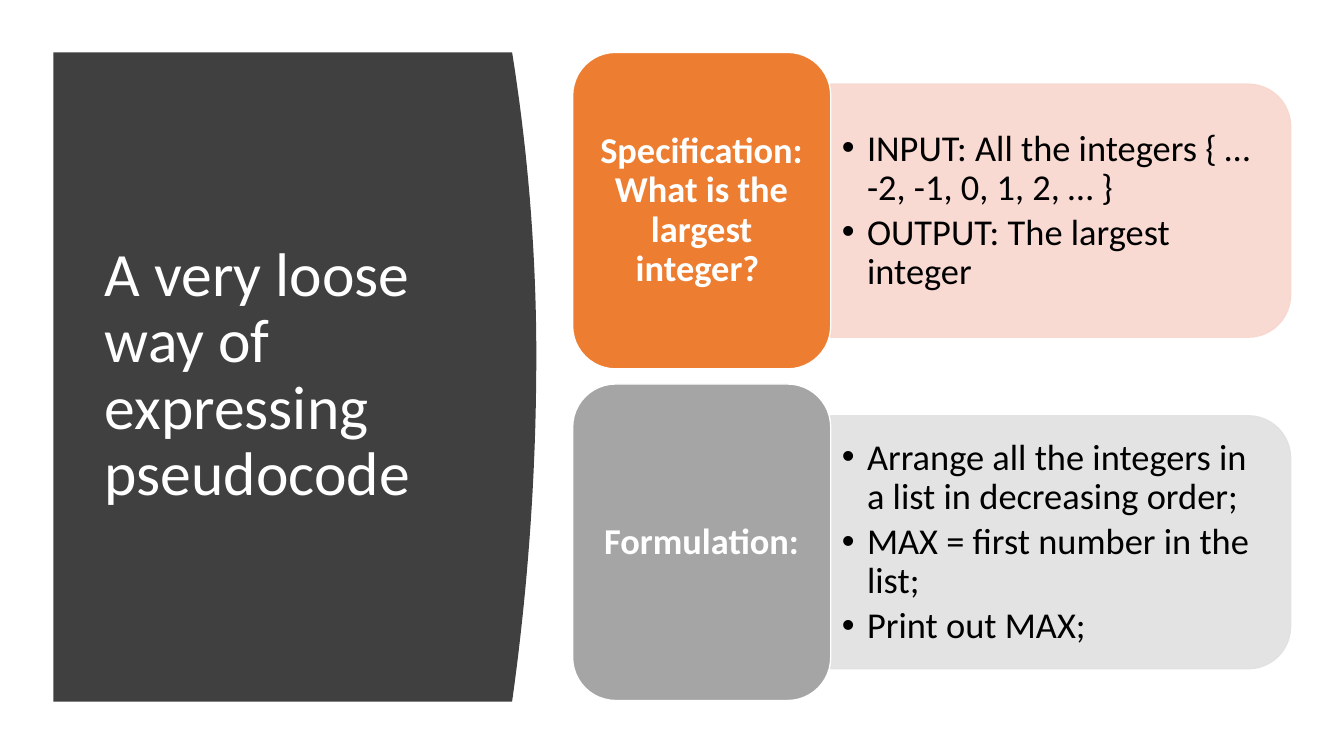
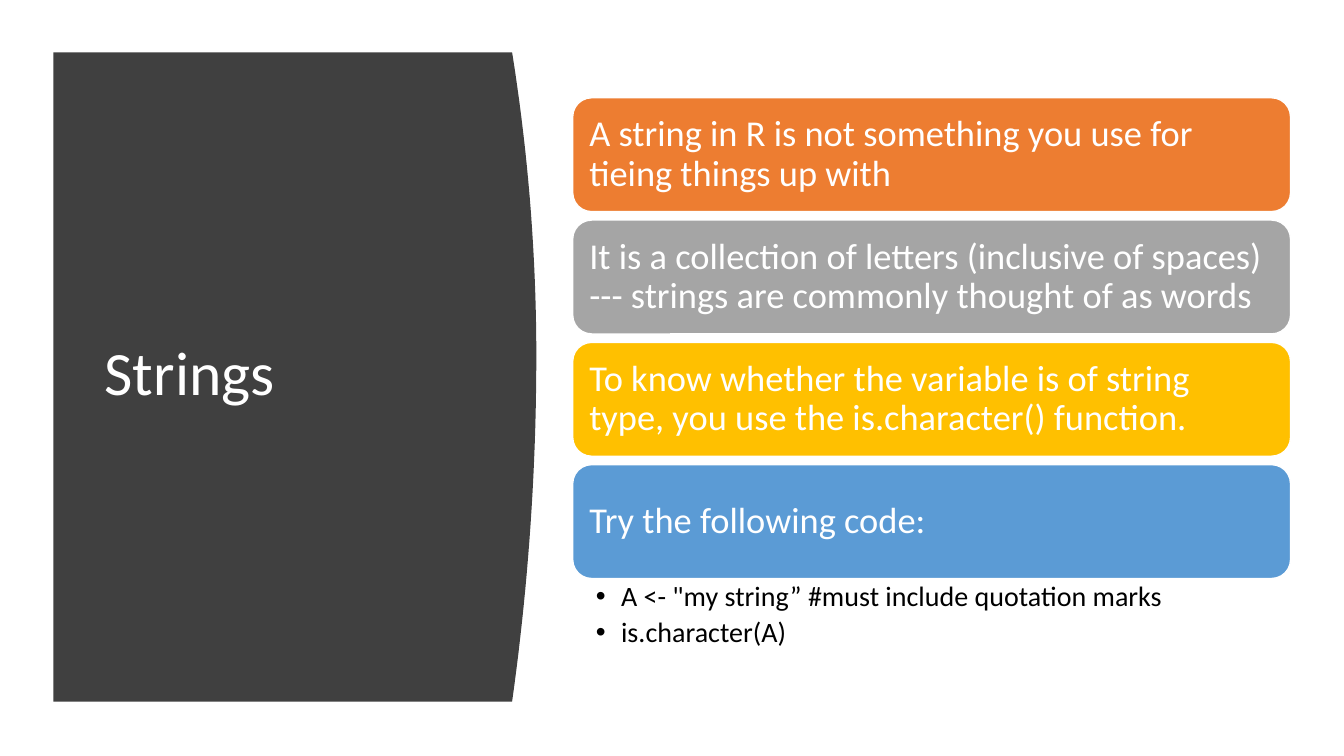
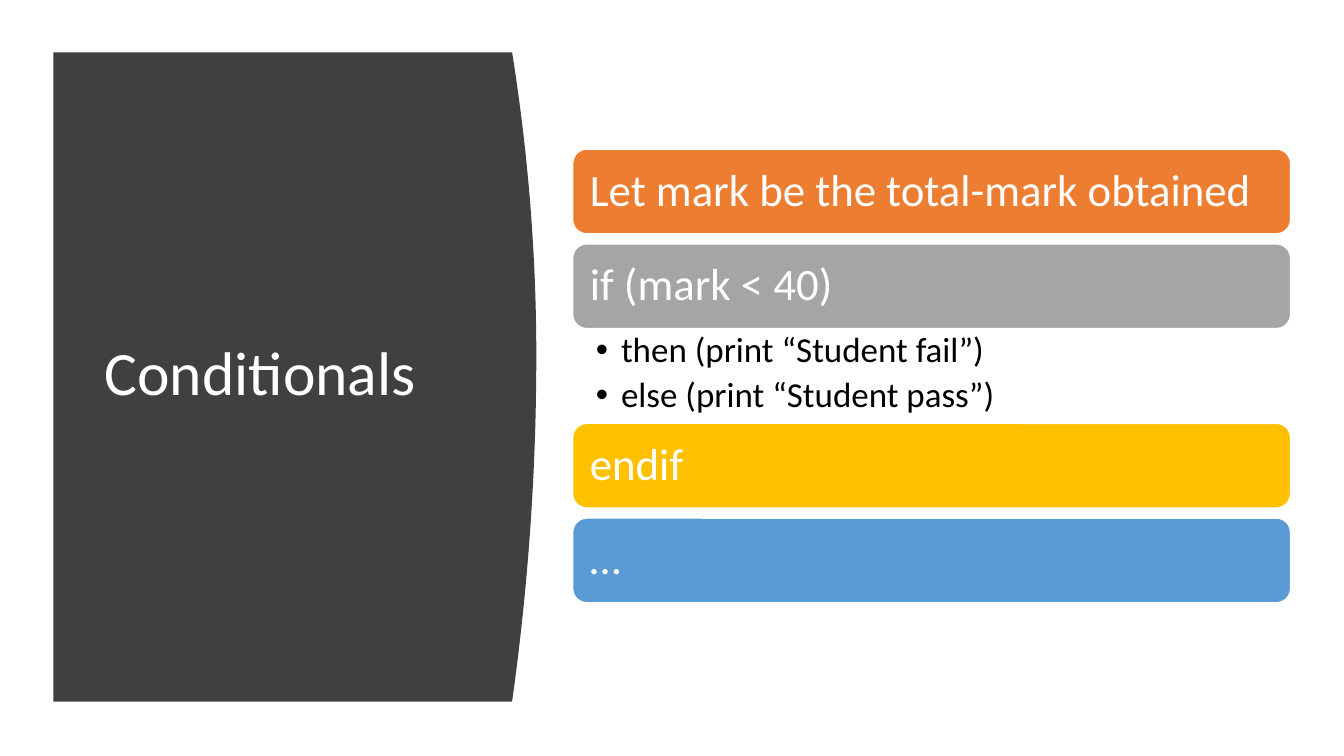
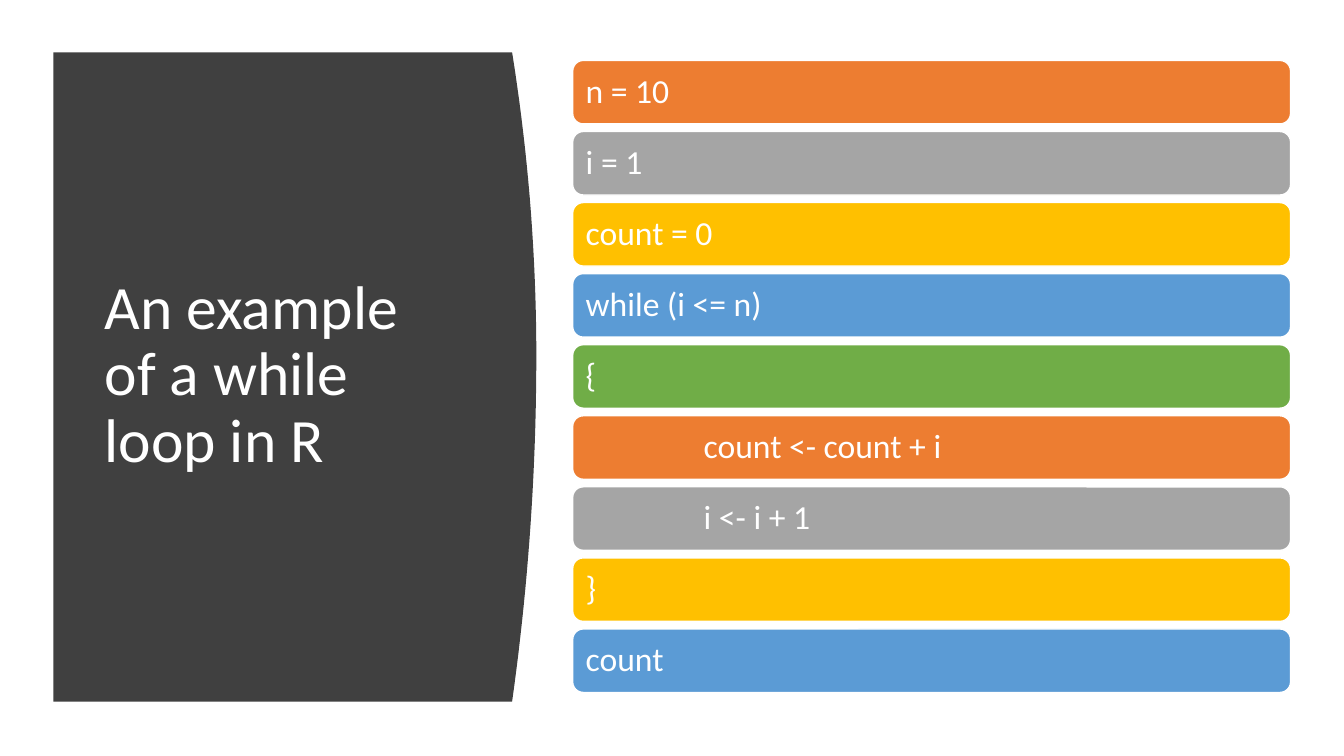
from itertools import cycle

from lxml import etree
from pptx import Presentation
from pptx.dml.color import RGBColor
from pptx.enum import shapes, text
from pptx.oxml import ns
from pptx.util import Inches, Pt

FONT = "Calibri"
WHITE = RGBColor(0xFF, 0xFF, 0xFF)
BLACK = RGBColor(0x00, 0x00, 0x00)
DARK = RGBColor(0x40, 0x40, 0x40)
PEACH = RGBColor(0xF8, 0xD7, 0xCE)
SILVER = RGBColor(0xE1, 0xE1, 0xE1)
ORANGE = RGBColor(0xED, 0x7D, 0x31)
GRAY = RGBColor(0xA5, 0xA5, 0xA5)
GOLD = RGBColor(0xFF, 0xC0, 0x00)
BLUE = RGBColor(0x5B, 0x9B, 0xD5)
GREEN = RGBColor(0x70, 0xAD, 0x47)
PALETTE = [ORANGE, GRAY, GOLD, BLUE, GREEN]

LEFT, WIDTH = 5.68, 7.12
PANEL_LEFT, PANEL_TOP, PANEL_BASE = 0.53, 0.52, 6.96
EDGE, BULGE, MIDDLE = 5.08, 0.24, 3.53
TAB = 1.17


def paint(shape, fill, line=None):
    shape.shadow.inherit = False
    shape.fill.solid()
    shape.fill.fore_color.rgb = fill
    if line is None:
        shape.line.fill.background()
    else:
        shape.line.color.rgb = line
        shape.line.width = Pt(1)


def fade(shape, percent):
    for color in shape._element.spPr.iter(ns.qn("a:srgbClr")):
        etree.SubElement(color, ns.qn("a:alpha"), val=str(percent * 1000))


def add_bullet(para):
    props = para._p.get_or_add_pPr()
    props.set("marL", str(Inches(0.25)))
    props.set("indent", str(-Inches(0.25)))
    etree.SubElement(props, ns.qn("a:buFont"), typeface="Arial")
    etree.SubElement(props, ns.qn("a:buChar"), char="•")


def add_tab(para):
    tabs = etree.SubElement(para._p.get_or_add_pPr(), ns.qn("a:tabLst"))
    etree.SubElement(tabs, ns.qn("a:tab"), pos=str(Inches(TAB)), algn="l")


def write(shape, lines, size, color, inset, anchor=text.MSO_ANCHOR.MIDDLE,
          align=text.PP_ALIGN.LEFT, bold=False, bullet=False, after=0):
    frame = shape.text_frame
    frame.word_wrap = True
    frame.vertical_anchor = anchor
    (frame.margin_left, frame.margin_top,
     frame.margin_right, frame.margin_bottom) = map(Inches, inset)
    for i, line in enumerate(lines):
        para = frame.add_paragraph() if i else frame.paragraphs[0]
        para.text = line
        if bullet:
            add_bullet(para)
        if "\t" in line:
            add_tab(para)
        para.alignment = align
        para.line_spacing = 0.9
        para.space_after = Pt(round(after * size))
        para.font.name = FONT
        para.font.size = Pt(size)
        para.font.bold = bold
        para.font.color.rgb = color


def add_box(slide, *place):
    return slide.shapes.add_textbox(*map(Inches, place))


def add_round(slide, fill, *place):
    shape = slide.shapes.add_shape(
        shapes.MSO_SHAPE.ROUNDED_RECTANGLE, *map(Inches, place))
    paint(shape, fill, WHITE)
    return shape


def curve(steps=40):
    for i in range(steps + 1):
        y = PANEL_TOP + (PANEL_BASE - PANEL_TOP) * i / steps
        end = PANEL_TOP if y < MIDDLE else PANEL_BASE
        bend = ((y - MIDDLE) / (end - MIDDLE)) ** 2
        yield Inches(EDGE + BULGE * (1 - bend)), Inches(y)


def start(deck, title):
    slide = deck.slides.add_slide(deck.slide_layouts[6])
    left = Inches(PANEL_LEFT)
    pen = slide.shapes.build_freeform(left, Inches(PANEL_TOP))
    pen.add_line_segments([*curve(), (left, Inches(PANEL_BASE))], close=True)
    paint(pen.convert_to_shape(), DARK)
    write(add_box(slide, 0.94, 1.11, 3.74, 5.24), [title], 44, WHITE,
          (0.1, 0.05, 0.1, 0.05))
    return slide


def add_step(slide, top, head, points, dark, pale):
    inset = (0.11, 0.05, 0.11, 0.05)
    wide, high, width, height = 4.56, 2.51, 2.56, 3.14
    left = LEFT + width
    mid = top + height / 2
    back = slide.shapes.add_shape(
        shapes.MSO_SHAPE.ROUND_2_SAME_RECTANGLE,
        Inches(left + (wide - high) / 2), Inches(mid - wide / 2),
        Inches(high), Inches(wide))
    back.rotation = 90
    paint(back, pale, pale)
    fade(back, 90)
    write(add_box(slide, left, mid - 1.13, 4.44, 2.27), points, 26, BLACK,
          inset, bullet=True, after=0.15)
    write(add_round(slide, dark, LEFT, top, width, height), [head], 26, WHITE,
          inset, align=text.PP_ALIGN.CENTER, bold=True)


def add_stack(slide, rows, top, base, high, size, pad,
              note=0, small=0, right=0):
    notes = sum(bool(points) for _, points in rows)
    gaps = sum(not points for _, points in rows[:-1])
    gap = (base - top - high * len(rows) - note * notes) / gaps
    for (label, points), fill in zip(rows, cycle(PALETTE)):
        bar = add_round(slide, fill, LEFT, top, WIDTH, high)
        write(bar, [label], size, WHITE, [pad] * 4)
        top += high
        if points:
            write(add_box(slide, LEFT, top, WIDTH, note), points, small, BLACK,
                  (0.23, 0.04, right, 0.04), text.MSO_ANCHOR.TOP,
                  bullet=True, after=0.2)
            top += note
        else:
            top += gap


def main():
    deck = Presentation()
    deck.slide_width, deck.slide_height = Inches(13.33), Inches(7.5)

    slide = start(deck, "A very loose way of expressing pseudocode")
    add_step(slide, 0.52, "Specification: What is the largest integer? ",
             ["INPUT: All the integers { … -2, -1, 0, 1, 2, … }",
              "OUTPUT: The largest integer"], ORANGE, PEACH)
    add_step(slide, 3.81, "Formulation:",
             ["Arrange all the integers in a list in decreasing order;",
              "MAX = first number in the list;",
              "Print out MAX;"], GRAY, SILVER)

    rows = [
        ("A string in R is not something you use for tieing things up with",
         []),
        ("It is a collection of letters (inclusive of spaces) --- "
         "strings are commonly thought of as words", []),
        ("To know whether the variable is of string type, "
         "you use the is.character() function.", []),
        ("Try the following code:",
         ["A <- \"my string” #must include quotation marks",
          "is.character(A)"]),
    ]
    add_stack(start(deck, "Strings"), rows, 0.97, 6.49, 1.13, 26, 0.11,
              0.75, 20, 0.2)

    rows = [
        ("Let mark be the total-mark obtained", []),
        ("if (mark < 40)",
         ["then (print “Student fail”)", "else (print “Student pass”)"]),
        ("endif", []),
        ("…", []),
    ]
    add_stack(start(deck, "Conditionals"), rows, 1.48, 5.98, 0.84, 32, 0.13,
              0.94, 25, 0.25)

    code = ["n = 10", "i = 1", "count = 0", "while (i <= n)", "{",
            "\tcount <- count + i", "\ti <- i + 1", "}", "count"]
    add_stack(start(deck, "An example of a while loop in R"),
              [(line, []) for line in code], 0.6, 6.87, 0.63, 24, 0.1)

    deck.save("out.pptx")


if __name__ == "__main__":
    main()
